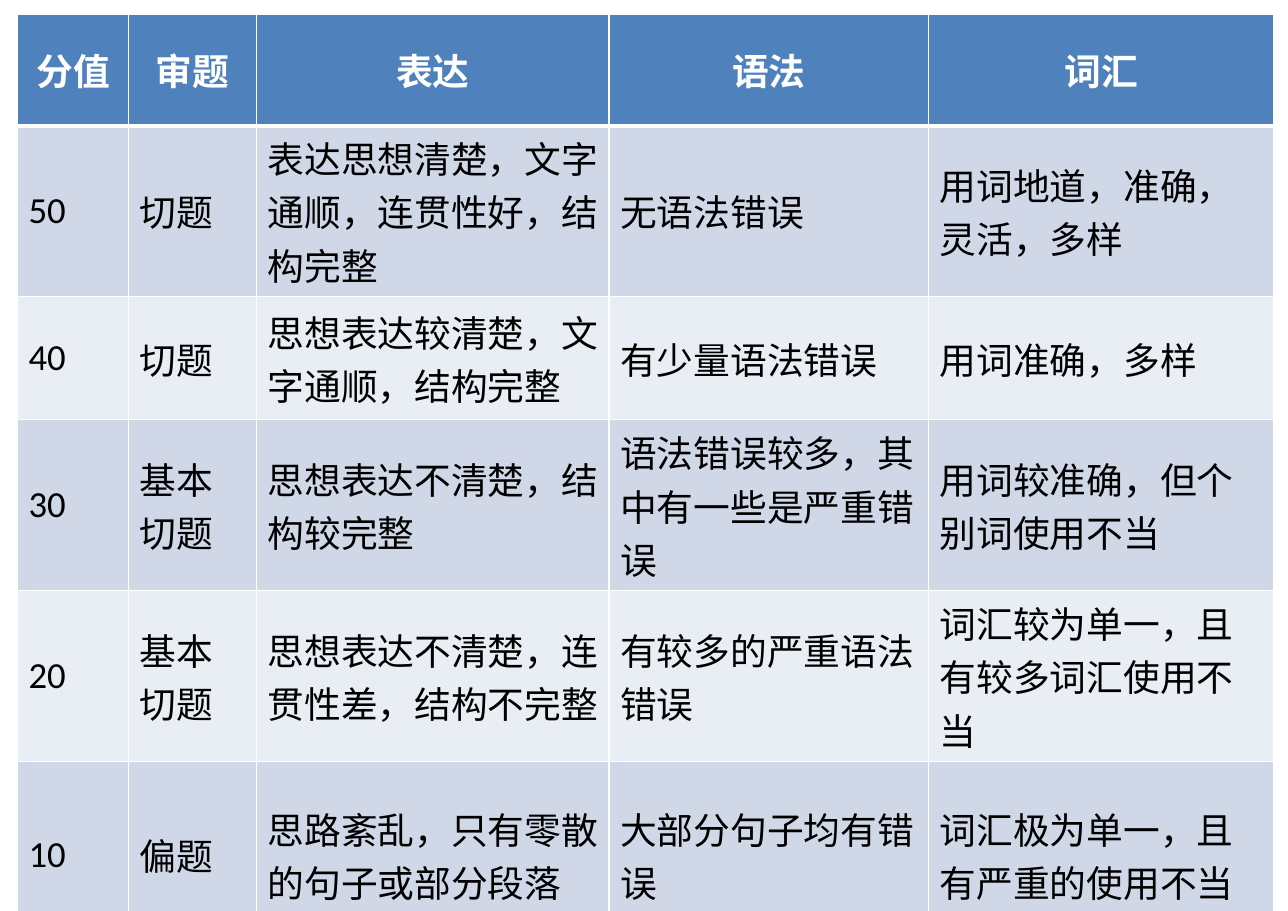
from lxml.etree import SubElement
from pptx import Presentation
from pptx.dml.color import RGBColor
from pptx.enum.text import MSO_ANCHOR, PP_ALIGN
from pptx.oxml.ns import qn
from pptx.util import Pt

WHITE = RGBColor(0xFF, 0xFF, 0xFF)
BLACK = RGBColor(0x00, 0x00, 0x00)
HEADER_BLUE = RGBColor(0x4F, 0x81, 0xBD)
BAND_DARK = RGBColor(0xD0, 0xD8, 0xE8)
BAND_LIGHT = RGBColor(0xE9, 0xED, 0xF4)

CRITERIA = [
    ("分值", "审题", "表达", "语法", "词汇"),
    ("50", "切题", "表达思想清楚，文字通顺，连贯性好，结构完整",
     "无语法错误", "用词地道，准确，灵活，多样"),
    ("40", "切题", "思想表达较清楚，文字通顺，结构完整",
     "有少量语法错误", "用词准确，多样"),
    ("30", "基本切题", "思想表达不清楚，结构较完整",
     "语法错误较多，其中有一些是严重错误", "用词较准确，但个别词使用不当"),
    ("20", "基本切题", "思想表达不清楚，连贯性差，结构不完整",
     "有较多的严重语法错误", "词汇较为单一，且有较多词汇使用不当"),
    ("10", "偏题", "思路紊乱，只有零散的句子或部分段落",
     "大部分句子均有错误", "词汇极为单一，且有严重的使用不当"),
]
COLUMN_WIDTHS = [72.7, 83.5, 230.4, 208.8, 225.4]
ROW_HEIGHTS = [72.7, 83.5, 80.6, 105.1, 105.1, 122.4]


def add_border(cell, side, width):
    line = SubElement(cell._tc.get_or_add_tcPr(), qn(f"a:{side}"), w=str(Pt(width)))
    fill = SubElement(line, qn("a:solidFill"))
    SubElement(fill, qn("a:srgbClr"), val=str(WHITE))


# Slide
prs = Presentation()
prs.slide_width, prs.slide_height = Pt(841.68), Pt(595.44)
slide = prs.slides.add_slide(prs.slide_layouts[6])

# Scoring table
scoring = slide.shapes.add_table(
    len(CRITERIA), len(COLUMN_WIDTHS), Pt(11.5), Pt(9.4),
    Pt(sum(COLUMN_WIDTHS)), Pt(sum(ROW_HEIGHTS))).table
for column, width in zip(scoring.columns, COLUMN_WIDTHS):
    column.width = Pt(width)
for row, height in zip(scoring.rows, ROW_HEIGHTS):
    row.height = Pt(height)

# Header and banded score rows
for level, descriptions in enumerate(CRITERIA):
    is_header = level == 0
    band = HEADER_BLUE if is_header else BAND_DARK if level % 2 else BAND_LIGHT
    for position, description in enumerate(descriptions):
        cell = scoring.cell(level, position)
        cell.text = description
        cell.vertical_anchor = MSO_ANCHOR.MIDDLE
        for side in ("lnL", "lnR", "lnT", "lnB"):
            under_header = (level, side) in ((0, "lnB"), (1, "lnT"))
            add_border(cell, side, 3 if under_header else 1)
        cell.fill.solid()
        cell.fill.fore_color.rgb = band

        paragraph = cell.text_frame.paragraphs[0]
        paragraph.alignment = PP_ALIGN.CENTER if is_header else PP_ALIGN.LEFT
        paragraph.font.name = "Calibri"
        paragraph.font.size = Pt(24)
        paragraph.font.bold = is_header
        paragraph.font.color.rgb = WHITE if is_header else BLACK

prs.save("out.pptx")
